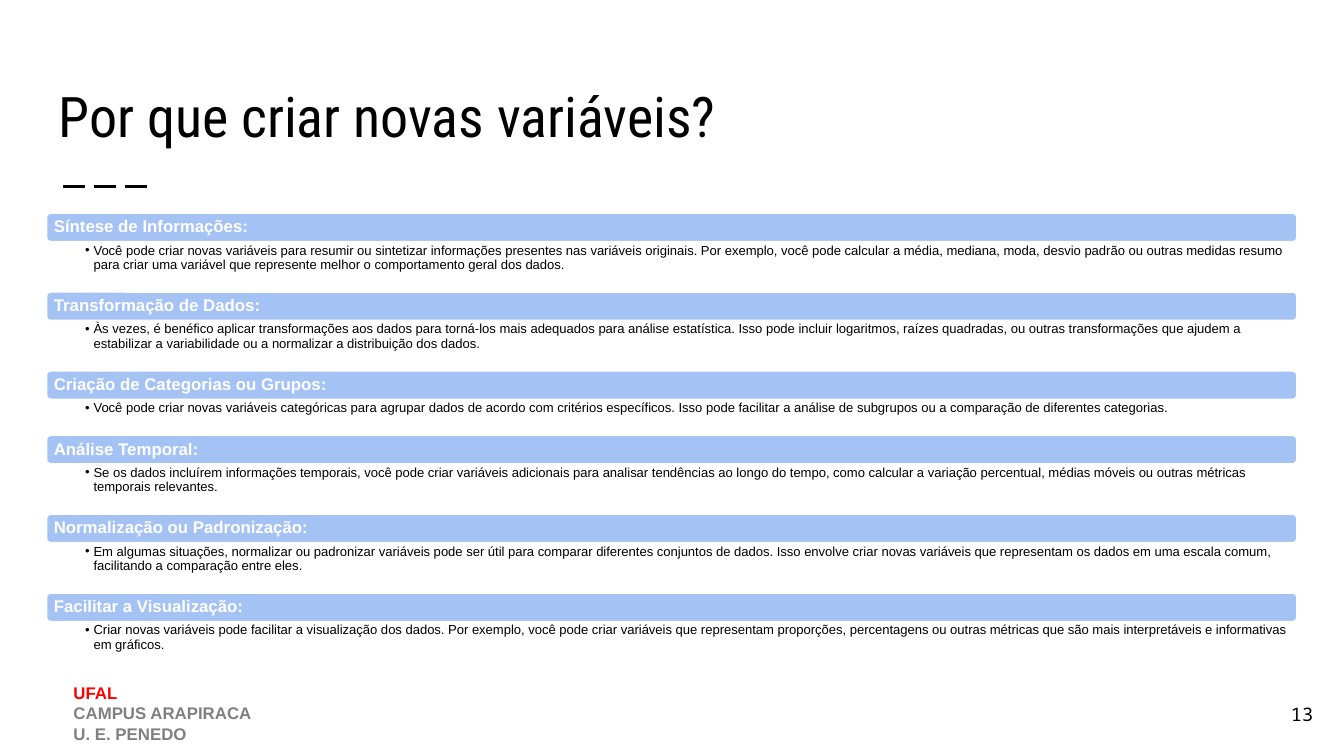
from dataclasses import dataclass

from lxml.etree import SubElement
from pptx import Presentation
from pptx.dml.color import RGBColor
from pptx.enum.dml import MSO_LINE
from pptx.enum.shapes import MSO_CONNECTOR, MSO_SHAPE
from pptx.enum.text import MSO_ANCHOR, PP_ALIGN
from pptx.oxml.ns import qn
from pptx.util import Cm, Pt

COLORS = {
    "black": "000000",
    "white": "FFFFFF",
    "bar": "A4C2F4",
    "red": "FF0000",
    "gray": "808080",
}
LEFT, WIDTH = 0.86, 23.67
TOP, BAR_H, LINE_H, GAP = 4.01, 0.58, 0.27, 0.37


@dataclass
class Topic:
    """A heading with its explanation and the lines the explanation takes."""
    heading: str
    body: str
    lines: int = 2


TOPICS = [
    Topic("Síntese de Informações:",
          "Você pode criar novas variáveis para resumir ou sintetizar informações presentes nas "
          "variáveis originais. Por exemplo, você pode calcular a média, mediana, moda, desvio "
          "padrão ou outras medidas resumo para criar uma variável que represente melhor o "
          "comportamento geral dos dados."),
    Topic("Transformação de Dados:",
          "Às vezes, é benéfico aplicar transformações aos dados para torná-los mais adequados "
          "para análise estatística. Isso pode incluir logaritmos, raízes quadradas, ou outras "
          "transformações que ajudem a estabilizar a variabilidade ou a normalizar a "
          "distribuição dos dados."),
    Topic("Criação de Categorias ou Grupos:",
          "Você pode criar novas variáveis categóricas para agrupar dados de acordo com "
          "critérios específicos. Isso pode facilitar a análise de subgrupos ou a comparação de "
          "diferentes categorias.", lines=1),
    Topic("Análise Temporal:",
          "Se os dados incluírem informações temporais, você pode criar variáveis adicionais "
          "para analisar tendências ao longo do tempo, como calcular a variação percentual, "
          "médias móveis ou outras métricas temporais relevantes."),
    Topic("Normalização ou Padronização:",
          "Em algumas situações, normalizar ou padronizar variáveis pode ser útil para comparar "
          "diferentes conjuntos de dados. Isso envolve criar novas variáveis que representam os "
          "dados em uma escala comum, facilitando a comparação entre eles."),
    Topic("Facilitar a Visualização:",
          "Criar novas variáveis pode facilitar a visualização dos dados. Por exemplo, você pode "
          "criar variáveis que representam proporções, percentagens ou outras métricas que são "
          "mais interpretáveis e informativas em gráficos."),
]


def rgb(name: str) -> RGBColor:
    """Return the named palette colour."""
    return RGBColor.from_string(COLORS[name])


def write(sp, text: str, *, size: float, color: str = "black", font: str = "Arial",
          bold: bool = False, align=PP_ALIGN.LEFT, anchor=MSO_ANCHOR.TOP,
          insets: tuple = (0.25, 0.25, 0.25, 0.25), spacing: float = 1.0,
          new: bool = False):
    """Write one formatted paragraph into a shape and return it."""
    tf = sp.text_frame
    tf.word_wrap = True
    tf.vertical_anchor = anchor
    tf.margin_left, tf.margin_top, tf.margin_right, tf.margin_bottom = map(Cm, insets)
    p = tf.add_paragraph() if new else tf.paragraphs[0]
    p.alignment, p.line_spacing = align, spacing
    r = p.add_run()
    r.text = text
    r.font.size, r.font.name, r.font.bold = Pt(size), font, bold
    r.font.color.rgb = rgb(color)
    return p


def add_box(s, x: float, y: float, w: float, h: float):
    """Add an empty text box."""
    return s.shapes.add_textbox(Cm(x), Cm(y), Cm(w), Cm(h))


def add_bullet(p, indent: float) -> None:
    """Give a paragraph a hanging round bullet."""
    pPr = p._p.get_or_add_pPr()
    pPr.set("marL", str(Cm(indent)))
    pPr.set("indent", str(-Cm(indent)))
    SubElement(pPr, qn("a:buFont")).set("typeface", "Arial")
    SubElement(pPr, qn("a:buChar")).set("char", "•")


def add_topic(s, topic: Topic, y: float) -> float:
    """Draw a topic and return the top of the next one."""
    bar = s.shapes.add_shape(MSO_SHAPE.ROUNDED_RECTANGLE, Cm(LEFT), Cm(y), Cm(WIDTH), Cm(BAR_H))
    bar.shadow.inherit = False
    bar.fill.solid()
    bar.fill.fore_color.rgb = rgb("bar")
    bar.line.color.rgb = rgb("white")
    bar.line.width = Pt(2)
    write(bar, topic.heading, size=9, color="white", bold=True, spacing=0.9,
          anchor=MSO_ANCHOR.MIDDLE, insets=(0.13, 0.1, 0.13, 0.1))
    body_h = GAP + topic.lines * LINE_H
    body = add_box(s, LEFT, y + BAR_H, WIDTH, body_h)
    p = write(body, topic.body, size=7, spacing=0.9, insets=(0.75, 0.02, 0.17, 0.02))
    add_bullet(p, 0.16)
    return y + BAR_H + body_h


def add_dashes(s) -> None:
    """Draw the dashed rule under the title."""
    rule = s.shapes.add_connector(MSO_CONNECTOR.STRAIGHT, Cm(1.19), Cm(3.53), Cm(2.9), Cm(3.53))
    rule.line.color.rgb = rgb("black")
    rule.line.width = Pt(1.5)
    rule.line.dash_style = MSO_LINE.LONG_DASH
    SubElement(rule._element.spPr, qn("a:effectLst"))


def main() -> None:
    """Build the slide and save it."""
    prs = Presentation()
    prs.slide_width, prs.slide_height = Cm(25.4), Cm(14.29)
    s = prs.slides.add_slide(prs.slide_layouts[5])

    title = s.shapes.title
    title.left, title.top, title.width, title.height = map(Cm, (LEFT, 1.04, WIDTH, 2.03))
    write(title, "Por que criar novas variáveis?", size=30, font="Roboto Condensed",
          anchor=MSO_ANCHOR.BOTTOM)
    add_dashes(s)

    y = TOP
    for topic in TOPICS:
        y = add_topic(s, topic, y)

    footer = add_box(s, 1.14, 12.78, 11.63, 1.42)
    for i, (text, color) in enumerate([("UFAL", "red"), ("CAMPUS ARAPIRACA", "gray"),
                                       ("U. E. PENEDO", "gray")]):
        write(footer, text, size=9, color=color, bold=True, new=i > 0,
              insets=(0.25, 0.13, 0.25, 0.13))

    number = add_box(s, 23.55, 12.95, 1.52, 1.09)
    write(number, "13", size=10, font="Noto Sans Mono", align=PP_ALIGN.RIGHT,
          anchor=MSO_ANCHOR.MIDDLE)
    prs.save("out.pptx")


if __name__ == "__main__":
    main()
